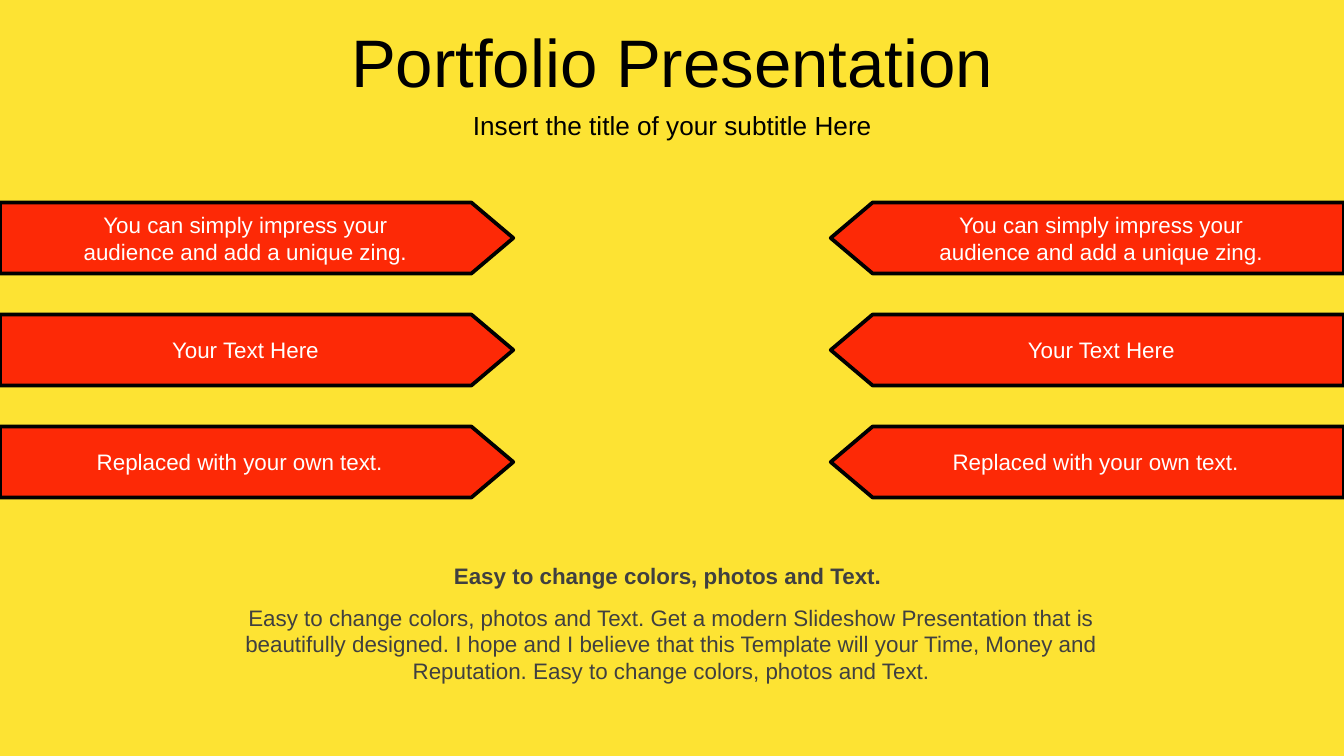
"""Build a portfolio slide with facing arrow banners around an open centre."""
import pptx
import pptx.dml.color
import pptx.enum.shapes
import pptx.enum.text
import pptx.util

Pt = pptx.util.Pt
COLORS = {
    "background": "FDE333",
    "banner": "FD2906",
    "title": "000000",
    "label": "FFFFFF",
    "body": "404040",
}


def rgb(name):
    return pptx.dml.color.RGBColor.from_string(COLORS[name])


class SlideBuilder:
    font = "Arial"

    def __init__(self, slide):
        self.slide = slide
        fill = slide.background.fill
        fill.solid()
        fill.fore_color.rgb = rgb("background")

    def set_text(self, sp, text, size, color, bold=False):
        tf = sp.text_frame
        tf.text = text
        tf.word_wrap = True
        tf.auto_size = pptx.enum.text.MSO_AUTO_SIZE.NONE
        tf.vertical_anchor = pptx.enum.text.MSO_ANCHOR.MIDDLE
        p = tf.paragraphs[0]
        p.alignment = pptx.enum.text.PP_ALIGN.CENTER
        r = p.runs[0]
        r.font.name = self.font
        r.font.size = Pt(size)
        r.font.bold = bold
        r.font.color.rgb = rgb(color)

    def title(self, text, x, y, w, h):
        sp = self.slide.shapes.title
        sp.left, sp.top, sp.width, sp.height = Pt(x), Pt(y), Pt(w), Pt(h)
        self.set_text(sp, text, 36, "title")

    def text(self, text, x, y, w, h, size=12, color="body", bold=False):
        sp = self.slide.shapes.add_textbox(Pt(x), Pt(y), Pt(w), Pt(h))
        self.set_text(sp, text, size, color, bold)

    def banner(self, x, y, w, h, rotation):
        sp = self.slide.shapes.add_shape(
            pptx.enum.shapes.MSO_SHAPE.PENTAGON, Pt(x), Pt(y), Pt(w), Pt(h))
        sp.adjustments[0] = 0.59
        sp.rotation = rotation
        sp.shadow.inherit = False
        sp.fill.solid()
        sp.fill.fore_color.rgb = rgb("banner")
        sp.line.color.rgb = rgb("title")
        sp.line.width = Pt(2)


def main():
    prs = pptx.Presentation()
    prs.slide_width, prs.slide_height = Pt(720), Pt(405)
    s = SlideBuilder(prs.slides.add_slide(prs.slide_layouts[5]))

    s.title("Portfolio Presentation", 0.5, 10, 719.5, 45.5)
    s.text("Insert the title of your subtitle Here", 0.5, 55.5, 719.5, 22.5,
           size=14, color="title")

    labels = [
        ("You can simply impress your audience and add a unique zing.", 36, 0),
        ("Your Text Here", 22, 0),
        ("Replaced with your own text.", 22, -3),
    ]
    width, height, first, pitch = 275, 38, 108.5, 60
    sides = [(0, 0, 27), (720 - width, 180, 485.5)]
    for banner_x, rotation, label_x in sides:
        for row, (label, label_h, shift) in enumerate(labels):
            y = first + row * pitch
            s.banner(banner_x, y, width, height, rotation)
            s.text(label, label_x + shift, y + (height - label_h) / 2,
                   209, label_h, color="label")

    s.text("Easy to change colors, photos and Text.", 114, 297.5, 487.5, 22, bold=True)
    s.text("Easy to change colors, photos and Text. Get a modern Slideshow "
           "Presentation that is beautifully designed. I hope and I believe "
           "that this Template will your Time, Money and Reputation. "
           "Easy to change colors, photos and Text.", 116, 319.5, 487.5, 51)
    prs.save("out.pptx")


if __name__ == "__main__":
    main()
